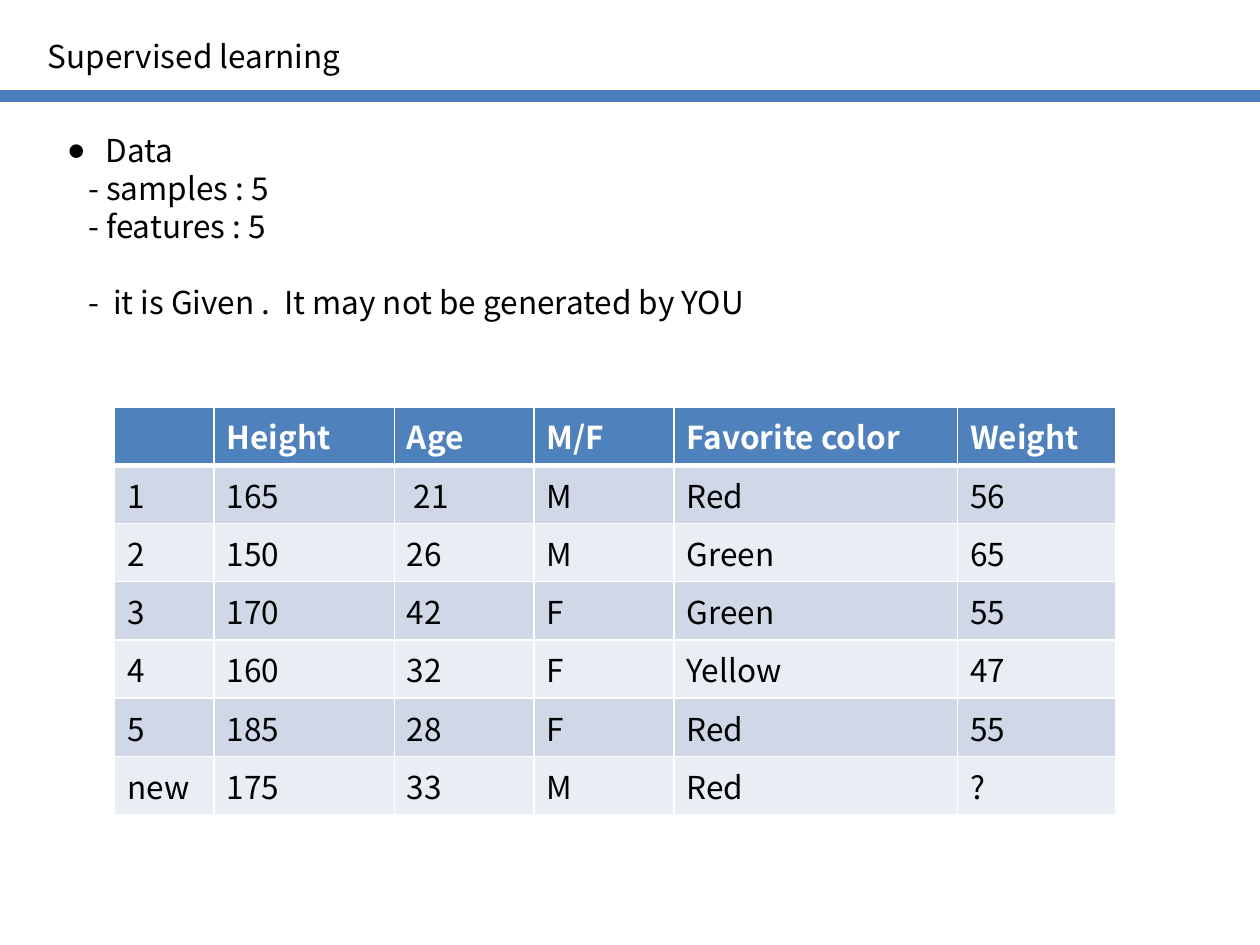
from lxml import etree
from pptx import Presentation
from pptx.dml.color import RGBColor
from pptx.enum.shapes import MSO_CONNECTOR
from pptx.enum.text import MSO_ANCHOR, MSO_AUTO_SIZE, PP_ALIGN
from pptx.oxml.ns import qn
from pptx.util import Inches, Pt

STRAIGHT = MSO_CONNECTOR.STRAIGHT
TOP = MSO_ANCHOR.TOP
FIXED = MSO_AUTO_SIZE.NONE
LEFT = PP_ALIGN.LEFT
BLACK = RGBColor(0x00, 0x00, 0x00)
WHITE = RGBColor(0xFF, 0xFF, 0xFF)
RULE = RGBColor(0x4B, 0x7E, 0xBC)
HEAD = RGBColor(0x4F, 0x81, 0xBD)
BANDS = RGBColor(0xD0, 0xD8, 0xE8), RGBColor(0xE9, 0xED, 0xF4)

WIDTHS = [0.79, 1.43, 1.11, 1.11, 2.25, 1.26]
ROWS = [
    ["", "Height", "Age", "M/F", "Favorite color", "Weight"],
    ["1", "165", " 21", "M", "Red", "56"],
    ["2", "150", "26", "M", "Green", "65"],
    ["3", "170", "42", "F", "Green", "55"],
    ["4", "160", "32", "F", "Yellow", "47"],
    ["5", "185", "28", "F", "Red", "55"],
    ["new", "175", "33", "M", "Red", "?"],
]
POINTS = [
    ("Data", dict(left=0.31, hang=-0.31, bullet="●")),
    ("- samples : 5", dict(left=0.17)),
    ("- features : 5", dict(left=0.17)),
    ("-  it is Given .  It may not be generated by YOU",
     dict(left=0.17, before=21.8)),
]


def write(par, text, color=BLACK, bold=False, left=0, hang=0, bullet=None,
          before=0):
    """Put formatted text into a paragraph."""
    par.alignment = LEFT
    par.space_before = Pt(before)
    props = par._p.get_or_add_pPr()
    props.set("marL", str(Inches(left)))
    props.set("indent", str(Inches(hang)))
    if bullet:
        etree.SubElement(props, qn("a:buChar")).set("char", bullet)
    else:
        etree.SubElement(props, qn("a:buNone"))
    font = par.font if not text else par.add_run().font
    if text:
        par.runs[0].text = text
    font.name = "Noto Sans CJK KR"
    font.size = Pt(18)
    font.bold = bold
    font.color.rgb = color


class Deck:
    """Hold the style and the current slide."""

    def __init__(self):
        """Open a deck with one titled slide."""
        self.prs = Presentation()
        self.prs.slide_width = Inches(10)
        self.prs.slide_height = Inches(7.5)
        self.slide = self.prs.slides.add_slide(self.prs.slide_layouts[1])

    def fill(self, index, box, items):
        """Place a placeholder and write its paragraphs."""
        shape = self.slide.placeholders[index]
        shape.left, shape.top, shape.width, shape.height = map(Inches, box)
        frame = shape.text_frame
        frame.word_wrap = True
        frame.auto_size = FIXED
        frame.vertical_anchor = TOP
        for i, (text, style) in enumerate(items):
            par = frame.add_paragraph() if i else frame.paragraphs[0]
            write(par, text, **style)

    def rule(self, y):
        """Draw a thick line across the slide."""
        line = self.slide.shapes.add_connector(
            STRAIGHT, 0, Inches(y), self.prs.slide_width, Inches(y))
        line.line.color.rgb = RULE
        line.line.width = Pt(7)
        etree.SubElement(line._element.spPr, qn("a:effectLst"))

    def edge(self, cell, side, width):
        """Give one side of a cell a white border."""
        props = cell._tc.get_or_add_tcPr()
        line = etree.SubElement(props, qn("a:" + side), w=str(Pt(width)))
        solid = etree.SubElement(line, qn("a:solidFill"))
        etree.SubElement(solid, qn("a:srgbClr"), val=str(WHITE))

    def table(self, x, y, widths, height, rows):
        """Add a table with a header and banded rows."""
        grid = self.slide.shapes.add_table(
            len(rows), len(widths), Inches(x), Inches(y),
            Inches(sum(widths)), Inches(height * len(rows))).table
        for col, width in zip(grid.columns, widths):
            col.width = Inches(width)
        for r, row in enumerate(rows):
            grid.rows[r].height = Inches(height)
            for c, text in enumerate(row):
                cell = grid.cell(r, c)
                write(cell.text_frame.paragraphs[0], text,
                      color=BLACK if r else WHITE, bold=not r)
                for side in ("lnL", "lnR", "lnT", "lnB"):
                    thick = (r, side) in ((0, "lnB"), (1, "lnT"))
                    self.edge(cell, side, 3 if thick else 1)
                cell.fill.solid()
                cell.fill.fore_color.rgb = BANDS[(r - 1) % 2] if r else HEAD


def main():
    """Build the slide and save it."""
    deck = Deck()
    deck.rule(0.76)
    deck.fill(0, (0.28, 0.24, 3.86, 0.4), [("Supervised learning", {})])
    deck.table(0.91, 3.23, WIDTHS, 0.41, ROWS)
    deck.fill(1, (0.43, 0.99, 8.43, 2.52), POINTS)
    deck.prs.save("out.pptx")


if __name__ == "__main__":
    main()
